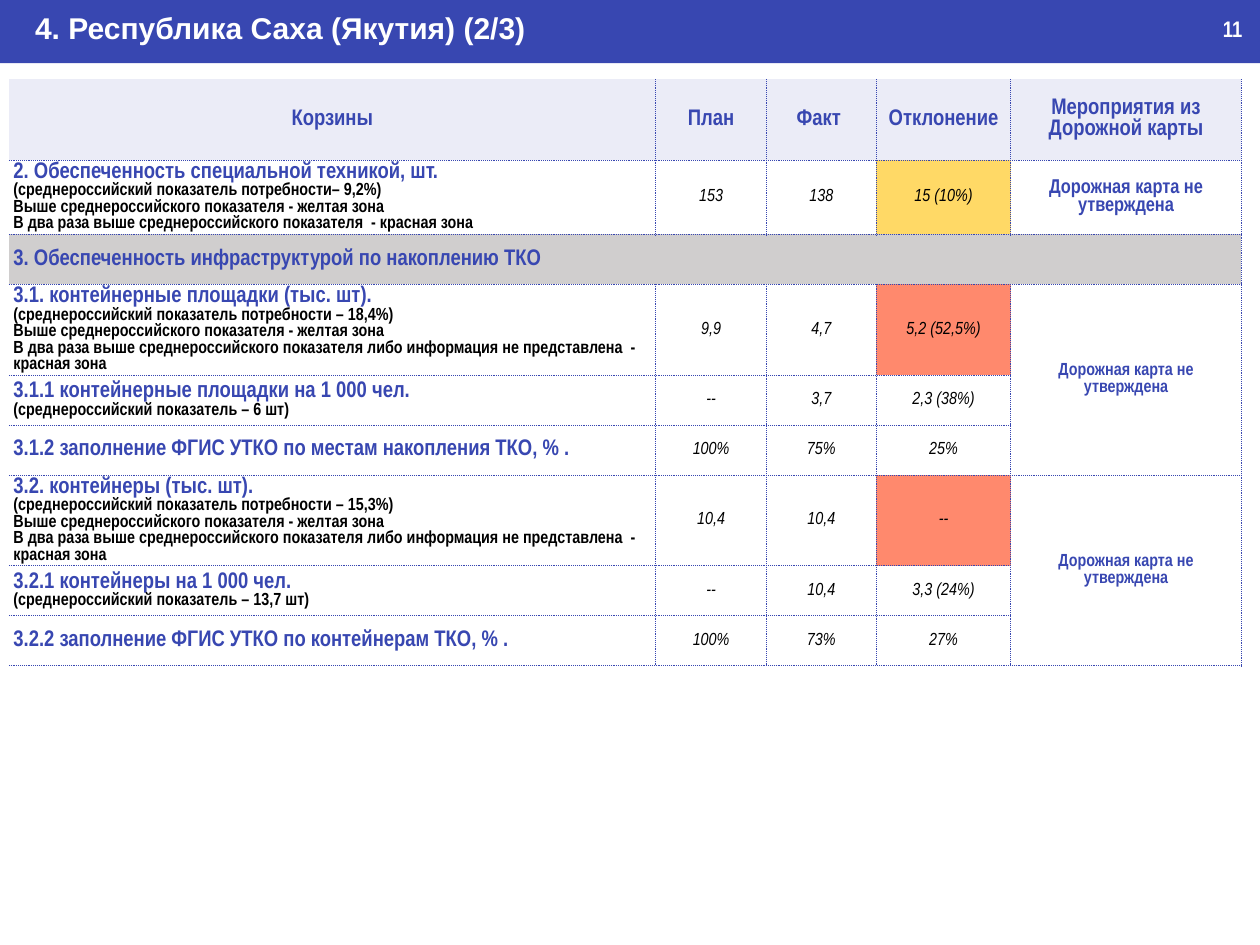
import pptx
import pptx.util
import pptx.dml.color
import pptx.enum.text
import pptx.enum.shapes
import pptx.oxml
import pptx.oxml.ns

Cm = pptx.util.Cm
RGB = pptx.dml.color.RGBColor
ALIGN = pptx.enum.text.PP_ALIGN

BLUE = RGB(0x38, 0x47, 0xB1)
PALE = RGB(0xEB, 0xEC, 0xF7)
GREY = RGB(0xD0, 0xCE, 0xCE)
GOLD = RGB(0xFF, 0xD9, 0x66)
RED = RGB(0xFF, 0x89, 0x6D)
WHITE = RGB(0xFF, 0xFF, 0xFF)
BLACK = RGB(0, 0, 0)

COLS = [18.26, 3.12, 3.1, 3.8, 6.5]
HEADS = ["Корзины", "План", "Факт ", "Отклонение", "Мероприятия из Дорожной карты"]
ABOVE = "Выше среднероссийского показателя - желтая зона"
TWICE = "В два раза выше среднероссийского показателя"
NO_DATA = TWICE + " либо информация не представлена  - красная зона"
NO_MAP = "Дорожная карта не утверждена"

# Height, heading, notes, plan / fact / gap values, fill of the gap cell
ROWS = [
    (2.09, "2. Обеспеченность специальной техникой, шт.",
     ["(среднероссийский показатель потребности– 9,2%)", ABOVE, TWICE + "  - красная зона"],
     ["153", "138", "15 (10%)"], GOLD),
    (1.41, "3. Обеспеченность инфраструктурой по накоплению ТКО", [], [], None),
    (2.56, "3.1. контейнерные площадки (тыс. шт).",
     ["(среднероссийский показатель потребности – 18,4%)", ABOVE, NO_DATA],
     ["9,9", "4,7", "5,2 (52,5%)"], RED),
    (1.41, "3.1.1 контейнерные площадки на 1 000 чел.",
     ["(среднероссийский показатель – 6 шт)"], ["--", "3,7", "2,3 (38%)"], None),
    (1.41, "3.1.2 заполнение ФГИС УТКО по местам накопления ТКО, % .",
     [], ["100%", "75%", "25%"], None),
    (2.56, "3.2. контейнеры (тыс. шт).",
     ["(среднероссийский показатель потребности – 15,3%)", ABOVE, NO_DATA],
     ["10,4", "10,4", "--"], RED),
    (1.41, "3.2.1 контейнеры на 1 000 чел.",
     ["(среднероссийский показатель – 13,7 шт)"], ["--", "10,4", "3,3 (24%)"], None),
    (1.41, "3.2.2 заполнение ФГИС УТКО по контейнерам ТКО, % .",
     [], ["100%", "73%", "27%"], None),
]
# First row, last row and text size of each road map cell
MAPS = [(1, 1, 16), (3, 5, 14), (6, 8, 14)]


def write(frame, text, size=18, color=BLUE, font="Arial Narrow", bold=True,
          italic=False, align=ALIGN.LEFT):
    """Fill the first paragraph if it is empty, else add one."""
    para = frame.paragraphs[0]
    if para.runs:
        para = frame.add_paragraph()
    para.alignment = align
    run = para.add_run()
    run.text = text
    run.font.name = font
    run.font.size = pptx.util.Pt(size)
    run.font.bold = bold
    run.font.italic = italic
    run.font.color.rgb = color


def add_label(slide, box, text, left=0.25, wrap=True, **form):
    frame = slide.shapes.add_textbox(*[Cm(n) for n in box]).text_frame
    frame.word_wrap = wrap
    frame.margin_left = Cm(left)
    write(frame, text, **form)


def add_band(slide, width):
    band = slide.shapes.add_shape(
        pptx.enum.shapes.MSO_SHAPE.RECTANGLE, 0, 0, width, Cm(1.78))
    band.shadow.inherit = False
    band.fill.solid()
    band.fill.fore_color.rgb = BLUE
    band.line.fill.background()


def set_edges(cell, sides):
    """Dot the named sides of a cell and clear the others."""
    props = cell._tc.get_or_add_tcPr()
    for side in "LRTB":
        look = "<a:noFill/>"
        if side in sides:
            look = (f'<a:solidFill><a:srgbClr val="{BLUE}"/></a:solidFill>'
                    '<a:prstDash val="sysDot"/>')
        props.append(pptx.oxml.parse_xml(
            f'<a:ln{side} {pptx.oxml.ns.nsdecls("a")} w="12700">{look}</a:ln{side}>'))


def set_fill(cell, color):
    cell.fill.solid()
    cell.fill.fore_color.rgb = color


def style_cell(cell, row, col):
    cell.vertical_anchor = pptx.enum.text.MSO_ANCHOR.MIDDLE
    cell.margin_left = cell.margin_right = Cm(0.13)
    cell.margin_top = cell.margin_bottom = Cm(0.05)
    set_edges(cell, "RB" + ("L" if col else "") + ("T" if row else ""))
    cell.fill.background()


def add_grid(slide):
    highs = [2.29] + [row[0] for row in ROWS]
    table = slide.shapes.add_table(
        len(highs), len(COLS), Cm(0.25), Cm(2.23), Cm(sum(COLS)), Cm(sum(highs))).table
    table.first_row = table.horz_banding = False
    for col, wide in zip(table.columns, COLS):
        col.width = Cm(wide)
    for row, high in zip(table.rows, highs):
        row.height = Cm(high)
    for r in range(len(highs)):
        for c in range(len(COLS)):
            style_cell(table.cell(r, c), r, c)

    # Header
    for c, head in enumerate(HEADS):
        set_fill(table.cell(0, c), PALE)
        write(table.cell(0, c).text_frame, head, align=ALIGN.CENTER)

    # Body
    for r, (_, head, notes, values, mark) in enumerate(ROWS, 1):
        first = table.cell(r, 0)
        write(first.text_frame, head)
        for note in notes:
            write(first.text_frame, note, size=14, color=BLACK)
        for c, value in enumerate(values, 1):
            write(table.cell(r, c).text_frame, value, size=14, color=BLACK,
                  bold=False, italic=True, align=ALIGN.CENTER)
        if mark:
            set_fill(table.cell(r, 3), mark)
        if not values:
            set_fill(first, GREY)
            first.merge(table.cell(r, len(COLS) - 1))

    # Road map column
    for top, end, size in MAPS:
        cell = table.cell(top, 4)
        if end > top:
            cell.merge(table.cell(end, 4))
        write(cell.text_frame, NO_MAP, size=size, align=ALIGN.CENTER)


def main():
    deck = pptx.Presentation()
    deck.slide_width, deck.slide_height = Cm(35.56), Cm(26.67)
    slide = deck.slides.add_slide(deck.slide_layouts[6])
    add_band(slide, deck.slide_width)
    add_grid(slide)
    # Title and page number
    add_label(slide, (0, 0.15, 35.5, 1.27), "4. Республика Саха (Якутия) (2/3)",
              left=0.99, size=24, color=WHITE, font="Arial")
    add_label(slide, (34.26, 0.3, 1.24, 1.02), "11", wrap=False, color=WHITE)
    deck.save("out.pptx")


if __name__ == "__main__":
    main()
